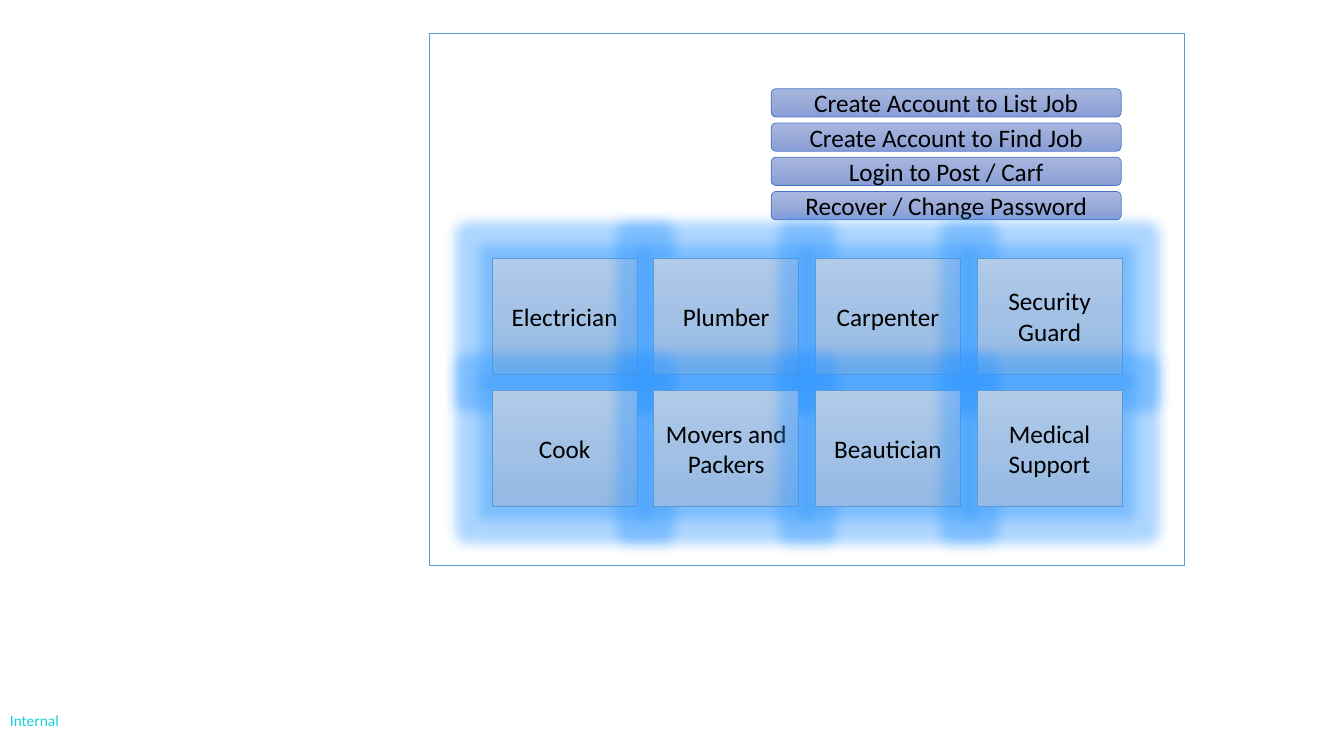
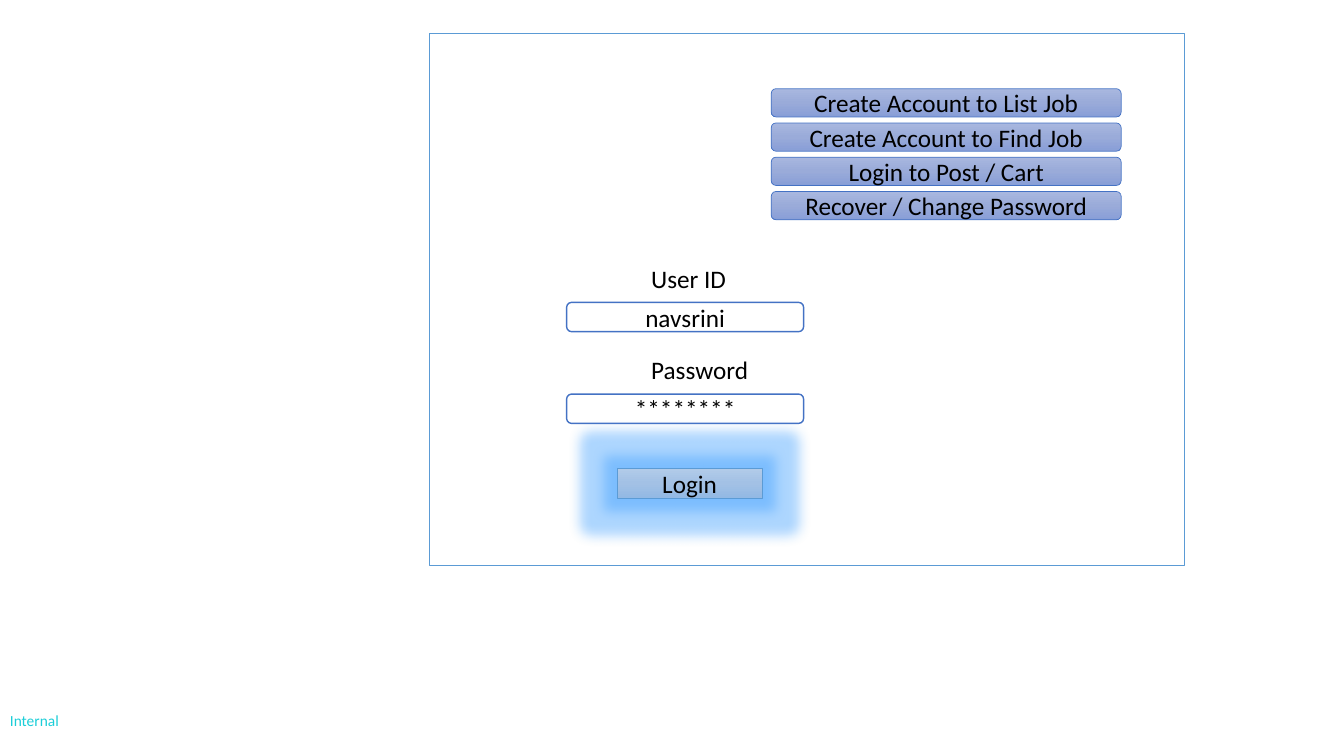
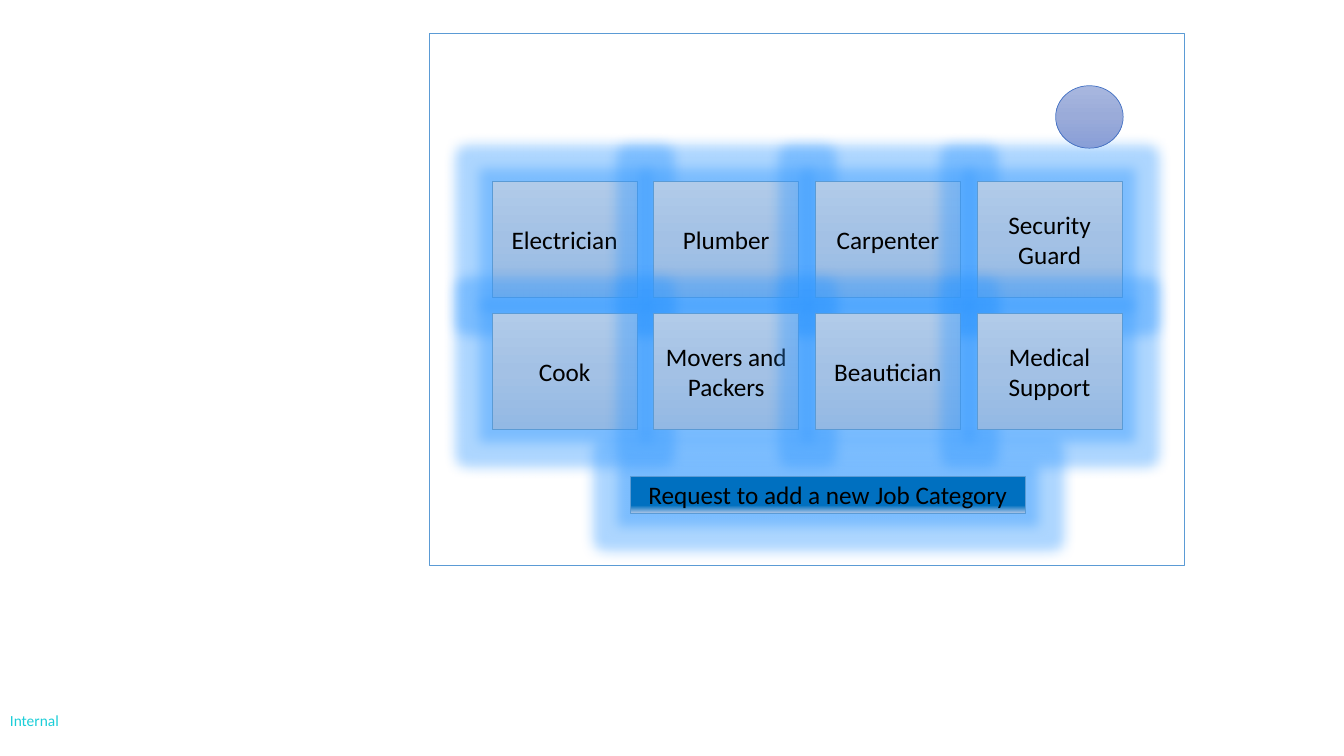
"""Build three wireframe slides of a job-listing site."""
from pptx import Presentation
from pptx.dml.color import RGBColor
from pptx.enum.shapes import MSO_SHAPE as Preset
from pptx.enum.text import MSO_ANCHOR as Anchor, PP_ALIGN as Align
from pptx.oxml import parse_xml
from pptx.oxml.ns import nsdecls, qn
from pptx.util import Inches, Pt

JOBS = [
    ["Electrician", "Plumber", "Carpenter", "Security Guard"],
    ["Cook", "Movers and Packers", "Beautician", "Medical Support"],
]
HOME_MENU = ["Create Account to List Job", "Create Account to Find Job",
             "Login to Post / Carf", "Recover / Change Password"]
LOGIN_MENU = HOME_MENU[:2] + ["Login to Post / Cart"] + HOME_MENU[3:]
CREDENTIALS = [("User ID", 0.95, "navsrini"), ("Password", 1.17, "********")]
LOGIN = "Login"
REQUEST = "Request to add a new Job Category"
FOOTER = "Internal"

FONT = "Calibri"
COLORS = {"text": "000000", "footer": "1BCED8", "field": "FFFFFF",
          "sky": "5B9BD5", "royal": "4472C4", "glow": "3399FF"}
TILE_FILL = [(0, "B1CBE9"), (50, "A3C1E5"), (100, "93B9E4")]
MENU_FILL = [(0, "A8B7DF"), (50, "9AABD9"), (100, "889ED7")]
REQUEST_FILL = [(79, "0070C0"), (100, "A3C1E5"), (100, "93B9E4")]

SLIDE_W, SLIDE_H = 13.33, 7.5
PANEL = (4.26, 0.33, 7.49, 5.28)
GRID_LEFT, LAST_LEFT = 4.88, 9.69
TILE_W, TILE_H, ROW_STEP = 1.44, 1.15, 1.31
COLUMN_STEP = (LAST_LEFT - GRID_LEFT) / (len(JOBS[0]) - 1)
MENU_LEFT, MENU_TOP, MENU_W, MENU_H, MENU_STEP = 7.65, 0.88, 3.47, 0.28, 0.34
FIELD_LEFT, FIELD_TOP, FIELD_W, FIELD_H, FIELD_STEP = 5.62, 3, 2.35, 0.29, 0.91
LABEL_LEFT, LABEL_RISE, LABEL_H = 6.36, 0.44, 0.4


def write(frame, text, size=18, color="text", align=Align.LEFT):
    paragraph = frame.paragraphs[0]
    paragraph.alignment = align
    run = paragraph.add_run()
    run.text = text
    run.font.size = Pt(size)
    run.font.name = FONT
    run.font.color.rgb = RGBColor.from_string(COLORS[color])


def add_box(slide, preset, at, line, text="", stops=None, solid=None,
            weight=0.5, glow=False):
    box = slide.shapes.add_shape(preset, *map(Inches, at))
    box.shadow.inherit = False
    properties = box._element.spPr
    if stops:
        marks = "".join(
            f'<a:gs pos="{place * 1000}"><a:srgbClr val="{color}"/></a:gs>'
            for place, color in stops)
        gradient = parse_xml(
            f'<a:gradFill {nsdecls("a")} rotWithShape="1"><a:gsLst>{marks}'
            '</a:gsLst><a:lin ang="5400000" scaled="0"/></a:gradFill>')
        properties.find(qn("a:prstGeom")).addnext(gradient)
    elif solid:
        box.fill.solid()
        box.fill.fore_color.rgb = RGBColor.from_string(COLORS[solid])
    else:
        box.fill.background()
    box.line.color.rgb = RGBColor.from_string(COLORS[line])
    box.line.width = Pt(weight)
    if glow:
        properties.find(qn("a:effectLst")).append(parse_xml(
            f'<a:glow {nsdecls("a")} rad="{Inches(0.25)}">'
            f'<a:srgbClr val="{COLORS["glow"]}"><a:alpha val="40000"/>'
            '</a:srgbClr></a:glow>'))
    if text:
        box.text_frame.vertical_anchor = Anchor.MIDDLE
        write(box.text_frame, text, align=Align.CENTER)


def add_tile(slide, at, text, stops=TILE_FILL):
    add_box(slide, Preset.RECTANGLE, at, "sky", text, stops, glow=True)


def add_jobs(slide, top):
    for row, names in enumerate(JOBS):
        for column, name in enumerate(names):
            add_tile(slide, (GRID_LEFT + column * COLUMN_STEP,
                             top + row * ROW_STEP, TILE_W, TILE_H), name)


def add_menu(slide, entries):
    for row, entry in enumerate(entries):
        at = (MENU_LEFT, MENU_TOP + row * MENU_STEP, MENU_W, MENU_H)
        add_box(slide, Preset.ROUNDED_RECTANGLE, at, "royal", entry, MENU_FILL)


def add_label(slide, at, text, wrap=False, **style):
    frame = slide.shapes.add_textbox(*map(Inches, at)).text_frame
    frame.word_wrap = wrap
    write(frame, text, **style)
    return frame


def add_page(deck):
    slide = deck.slides.add_slide(deck.slide_layouts[6])
    add_box(slide, Preset.RECTANGLE, PANEL, "sky")
    return slide


def add_footer(slide):
    frame = add_label(slide, (0, 6.95, SLIDE_W, 0.4), FOOTER, wrap=True,
                      size=11, color="footer")
    frame.vertical_anchor = Anchor.MIDDLE


deck = Presentation()
deck.slide_width, deck.slide_height = Inches(SLIDE_W), Inches(SLIDE_H)

home = add_page(deck)
add_menu(home, HOME_MENU)
add_jobs(home, 2.56)

login = add_page(deck)
add_menu(login, LOGIN_MENU)
for row, (label, label_w, value) in enumerate(CREDENTIALS):
    top = FIELD_TOP + row * FIELD_STEP
    add_box(login, Preset.ROUNDED_RECTANGLE, (FIELD_LEFT, top, FIELD_W, FIELD_H),
            "royal", value, solid="field", weight=1)
    add_label(login, (LABEL_LEFT, top - LABEL_RISE, label_w, LABEL_H), label)
add_tile(login, (6.12, 4.65, TILE_W, FIELD_H), LOGIN)

member = add_page(deck)
add_jobs(member, 1.8)
add_box(member, Preset.FLOWCHART_CONNECTOR, (10.47, 0.85, 0.67, 0.62), "royal",
        stops=MENU_FILL)
add_tile(member, (6.25, 4.73, 3.92, 0.36), REQUEST, REQUEST_FILL)

for slide in deck.slides:
    add_footer(slide)
deck.save("out.pptx")
